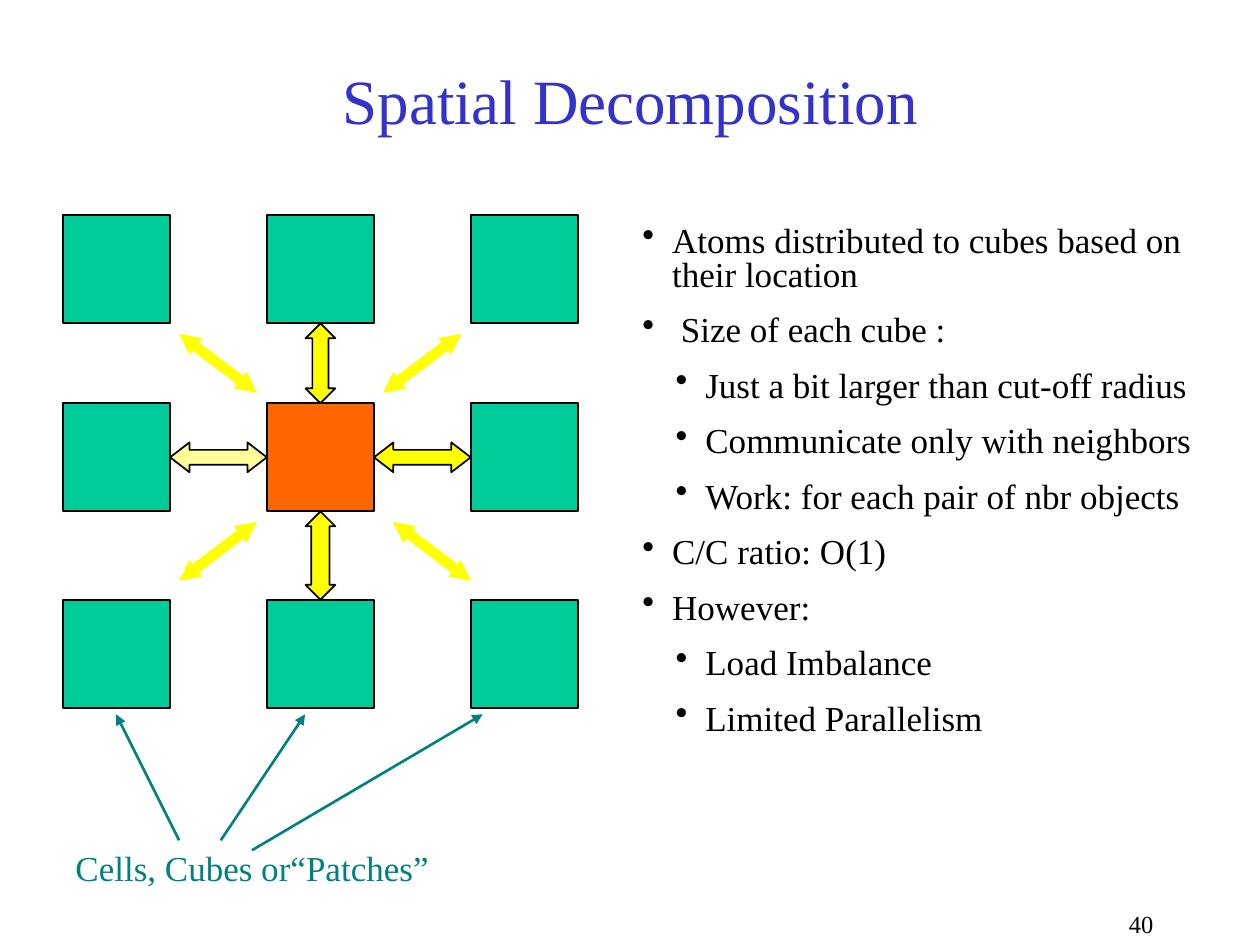
from lxml.etree import SubElement
from pptx import Presentation
from pptx.dml.color import RGBColor
from pptx.enum.shapes import MSO_CONNECTOR, MSO_SHAPE
from pptx.enum.text import MSO_ANCHOR, PP_ALIGN
from pptx.oxml.ns import qn
from pptx.util import Cm, Pt

FONT = "Times New Roman"
BLACK, GREEN, ORANGE = "000000", "00CC99", "FF6600"
YELLOW, PALE_YELLOW, TEAL, BLUE = "FFFF00", "FFFF99", "008080", "3333CC"

COLUMNS = [1.27 + 4.11 * column for column in range(3)]
ROWS = [4.34, 8.13, 12.09]
CUBE_WIDTH, CUBE_HEIGHT = 2.16, 2.18
ARROW_BREADTH = 0.6

POINTS = [
    (0, "Atoms distributed to cubes based on their location"),
    (0, " Size of each cube :"),
    (1, "Just a bit larger than cut-off radius"),
    (1, "Communicate only with neighbors"),
    (1, "Work: for each pair of nbr objects"),
    (0, "C/C ratio: O(1)"),
    (0, "However:"),
    (1, "Load Imbalance"),
    (1, "Limited Parallelism"),
]


def rgb(code):
    return RGBColor.from_string(code)


def style_paragraph(paragraph, size, color, align=PP_ALIGN.LEFT):
    paragraph.alignment = align
    paragraph.font.name = FONT
    paragraph.font.size = Pt(size)
    paragraph.font.color.rgb = rgb(color)


def add_title(slide, text):
    title = slide.shapes.title
    title.left, title.top, title.width, title.height = Cm(1.07), Cm(1.27), Cm(23.28), Cm(1.47)
    title.text_frame.text = text
    title.text_frame.vertical_anchor = MSO_ANCHOR.MIDDLE
    style_paragraph(title.text_frame.paragraphs[0], 36, BLUE, PP_ALIGN.CENTER)


def add_text_frame(slide, left, top, width, height):
    frame = slide.shapes.add_textbox(Cm(left), Cm(top), Cm(width), Cm(height)).text_frame
    frame.word_wrap = True
    return frame


def add_label(slide, text, box, size, color, align):
    frame = add_text_frame(slide, *box)
    frame.text = text
    style_paragraph(frame.paragraphs[0], size, color, align)


def add_bullet(paragraph, level):
    properties = paragraph._p.get_or_add_pPr()
    properties.set("marL", str(Cm(0.6 + 0.67 * level)))
    properties.set("indent", str(Cm(-0.6)))
    SubElement(properties, qn("a:buChar"), char="•")


def add_points(slide):
    frame = add_text_frame(slide, 12.7, 4.45, 11.86, 11.79)
    for number, (level, text) in enumerate(POINTS):
        paragraph = frame.add_paragraph() if number else frame.paragraphs[0]
        paragraph.text = text
        paragraph.level = level
        add_bullet(paragraph, level)
        paragraph.line_spacing = 0.8
        if number:
            paragraph.space_before = Pt(12.5)
        style_paragraph(paragraph, 20, BLACK)


def add_outlined(shapes, preset, left, top, width, height, fill):
    shape = shapes.add_shape(preset, Cm(left), Cm(top), Cm(width), Cm(height))
    shape.shadow.inherit = False
    shape.fill.solid()
    shape.fill.fore_color.rgb = rgb(fill)
    shape.line.color.rgb = rgb(BLACK)
    shape.line.width = Pt(1)
    return shape


def add_arrow_line(shapes, start, end, color, width, ends, head_size):
    """Draw a straight line; ends names the arrowhead elements it carries."""
    connector = shapes.add_connector(
        MSO_CONNECTOR.STRAIGHT, *(Cm(length) for length in (*start, *end)))
    connector.line.color.rgb = rgb(color)
    connector.line.width = Pt(width)
    outline = connector.line._get_or_add_ln()
    for end_name in ends:
        SubElement(outline, qn(f"a:{end_name}"), type="triangle", w=head_size, len=head_size)
    SubElement(connector._element.spPr, qn("a:effectLst"))


def add_cubes(shapes):
    for row, top in enumerate(ROWS):
        for column, left in enumerate(COLUMNS):
            fill = ORANGE if row == column == 1 else GREEN
            add_outlined(shapes, MSO_SHAPE.RECTANGLE, left, top, CUBE_WIDTH, CUBE_HEIGHT, fill)


def add_neighbor_arrows(shapes):
    """Fill the gaps around the middle cube with double-headed block arrows."""
    across_top = ROWS[1] + (CUBE_HEIGHT - ARROW_BREADTH) / 2
    upright_left = COLUMNS[1] + (CUBE_WIDTH - ARROW_BREADTH) / 2
    for gap, fill in enumerate((PALE_YELLOW, YELLOW)):
        left = COLUMNS[gap] + CUBE_WIDTH
        across = add_outlined(shapes, MSO_SHAPE.LEFT_RIGHT_ARROW, left, across_top,
                              COLUMNS[gap + 1] - left, ARROW_BREADTH, fill)
        across.adjustments[1] = 0.65
    for gap, head_length in enumerate((0.54, 0.61)):
        top = ROWS[gap] + CUBE_HEIGHT
        upright = add_outlined(shapes, MSO_SHAPE.UP_DOWN_ARROW, upright_left, top,
                               ARROW_BREADTH, ROWS[gap + 1] - top, YELLOW)
        upright.adjustments[1] = head_length


def add_diagonals(shapes):
    upper, lower = (6.73, 7.92), (10.52, 11.71)
    for left, right, (top, bottom), rising in (
        (3.61, 5.18, upper, False),
        (7.92, 9.5, lower, False),
        (7.72, 9.3, upper, True),
        (3.61, 5.18, lower, True),
    ):
        start, end = ((right, top), (left, bottom)) if rising else ((left, top), (right, bottom))
        add_arrow_line(shapes, start, end, YELLOW, 6, ("headEnd", "tailEnd"), "sm")


def add_patch_pointers(shapes):
    for start, tip in (((3.61, 16.94), 2.34), ((5.08, 17.14), 9.73), ((4.45, 16.94), 6.15)):
        add_arrow_line(shapes, start, (tip, 14.4), TEAL, 1.5, ("tailEnd",), "med")


def main():
    presentation = Presentation()
    presentation.slide_width, presentation.slide_height = Cm(25.4), Cm(19.05)
    slide = presentation.slides.add_slide(presentation.slide_layouts[5])
    add_title(slide, "Spatial Decomposition")
    grid = slide.shapes.add_group_shape().shapes
    add_cubes(grid)
    add_neighbor_arrows(grid)
    add_diagonals(grid)
    add_points(slide)
    add_label(slide, "Cells, Cubes or“Patches”", (0.64, 16.94, 8.89, 1.12),
              20, TEAL, PP_ALIGN.CENTER)
    add_patch_pointers(slide.shapes)
    add_label(slide, "40", (18.85, 18.21, 4.65, 0.84), 14, BLACK, PP_ALIGN.RIGHT)
    presentation.save("out.pptx")


if __name__ == "__main__":
    main()
